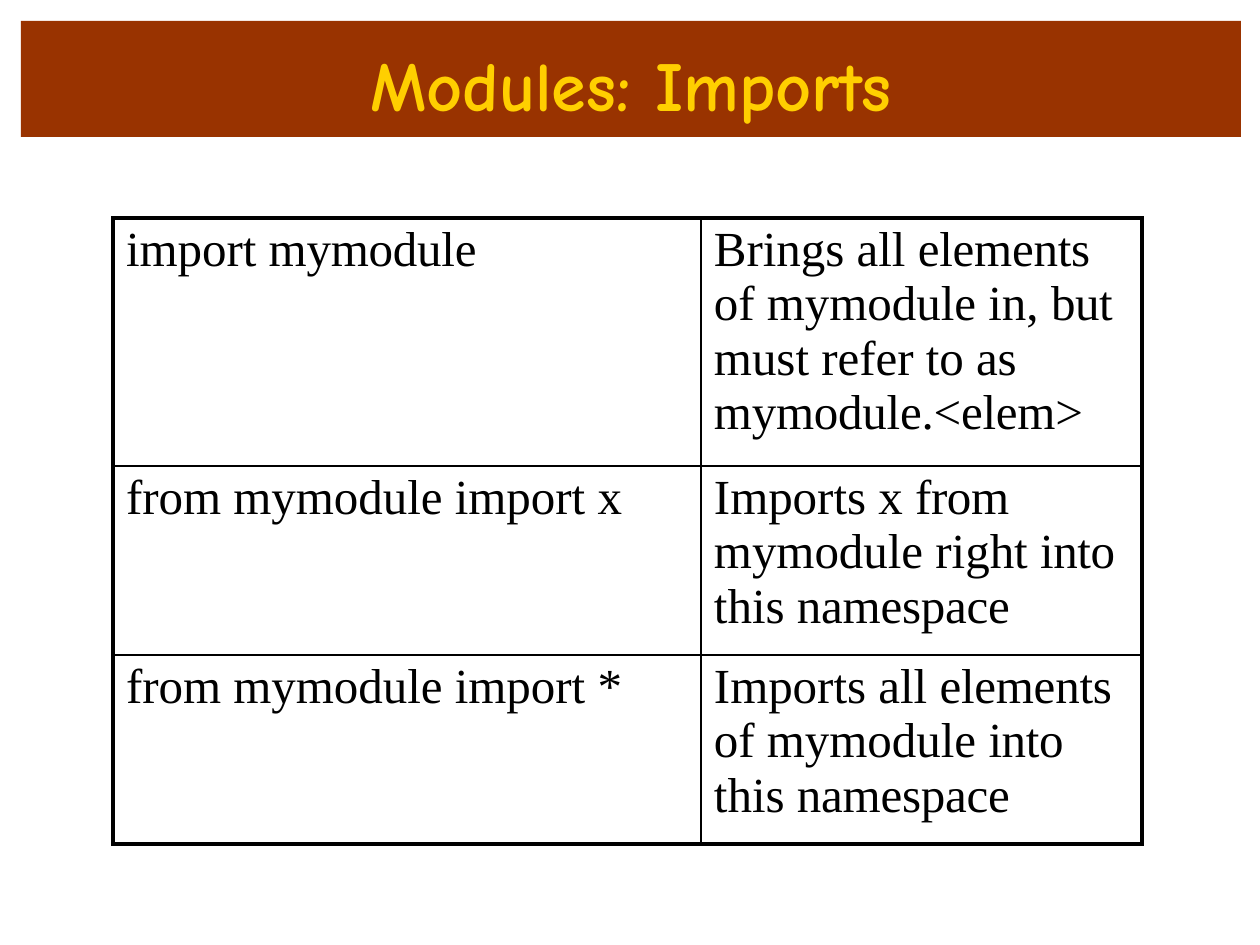
import pptx
import pptx.util
import pptx.dml.color
import pptx.enum.shapes
import pptx.enum.text
import pptx.oxml
import pptx.oxml.ns

PX = 914400 // 126
SLIDE = (1260, 945)
BANNER = (21, 21, 1220, 116)
GRID_LEFT, GRID_TOP = 113, 218
COLUMNS = (588, 441)
ROWS = (248, 189, 189)
INK = "000000"

TITLE = [("Modules: ", 0), ("Imports", -0.1)]
IMPORTS = [
    ([("import ", 0), ("mymodule", -0.1)],
     [("Brings all ", 0), ("elements ", -0.1), ("of mymodule in, ", 0), ("but ", -0.2),
      ("must refer to ", 0), ("as ", -0.2), ("mymodule.<elem>", -0.1)]),
    ([("from mymodule import ", 0), ("x", -0.5)],
     [("Imports x ", 0), ("from ", -0.2), ("mymodule right ", 0), ("into ", -0.2),
      ("this ", 0), ("namespace", -0.1)]),
    ([("from mymodule import ", 0), ("*", -0.5)],
     [("Imports all ", 0), ("elements ", -0.1), ("of mymodule ", 0), ("into ", -0.2),
      ("this ", 0), ("namespace", -0.1)]),
]


def px(length):
    return pptx.util.Emu(length * PX)


def rgb(color):
    return pptx.dml.color.RGBColor.from_string(color)


def write(paragraph, pieces, font, size, color, before, bold=False):
    paragraph.space_before = pptx.util.Pt(before)
    for text, spacing in pieces:
        run = paragraph.add_run()
        run.text = text
        run.font.name = font
        run.font.size = pptx.util.Pt(size)
        run.font.bold = bold
        run.font.color.rgb = rgb(color)
        run._r.get_or_add_rPr().set("spc", str(round(spacing * 100)))


def add_borders(cell, widths):
    properties = cell._tc.get_or_add_tcPr()
    for position, (side, width) in enumerate(widths.items()):
        properties.insert(position, pptx.oxml.parse_xml(
            f'<a:{side} {pptx.oxml.ns.nsdecls("a")} w="{pptx.util.Pt(width)}">'
            f'<a:solidFill><a:srgbClr val="{INK}"/></a:solidFill></a:{side}>'))


def add_banner(slide):
    banner = slide.shapes.add_shape(
        pptx.enum.shapes.MSO_SHAPE.RECTANGLE, *map(px, BANNER))
    banner.shadow.inherit = False
    banner.fill.solid()
    banner.fill.fore_color.rgb = rgb("993300")
    banner.line.fill.background()
    frame = banner.text_frame
    frame.word_wrap = True
    frame.auto_size = pptx.enum.text.MSO_AUTO_SIZE.SHAPE_TO_FIT_TEXT
    frame.vertical_anchor = pptx.enum.text.MSO_ANCHOR.TOP
    frame.margin_left = frame.margin_right = frame.margin_bottom = 0
    frame.margin_top = px(21)
    heading = frame.paragraphs[0]
    heading.alignment = pptx.enum.text.PP_ALIGN.CENTER
    write(heading, TITLE, "Comic Neue", 40, "FFCF00", 12.3, bold=True)


def add_imports(slide):
    grid = slide.shapes.add_table(
        len(ROWS), len(COLUMNS), px(GRID_LEFT), px(GRID_TOP),
        px(sum(COLUMNS)), px(sum(ROWS))).table
    grid.first_row = grid.horz_banding = False
    for column, width in zip(grid.columns, COLUMNS):
        column.width = px(width)
    for row, height in zip(grid.rows, ROWS):
        row.height = px(height)
    for r, entries in enumerate(IMPORTS):
        for c, pieces in enumerate(entries):
            cell = grid.cell(r, c)
            cell.fill.background()
            cell.margin_left = cell.margin_right = cell.margin_bottom = 0
            cell.margin_top = px(5)
            edges = {"lnL": c == 0, "lnR": c == len(COLUMNS) - 1,
                     "lnT": r == 0, "lnB": r == len(ROWS) - 1}
            add_borders(cell, {side: 2.25 if outer else 1 for side, outer in edges.items()})
            entry = cell.text_frame.paragraphs[0]
            entry._p.get_or_add_pPr().set("marL", str(px(13)))
            write(entry, pieces, "Times New Roman", 28, INK, 2.6)


def main():
    deck = pptx.Presentation()
    deck.slide_width, deck.slide_height = map(px, SLIDE)
    slide = deck.slides.add_slide(deck.slide_layouts[6])
    add_banner(slide)
    add_imports(slide)
    deck.save("out.pptx")


if __name__ == "__main__":
    main()
